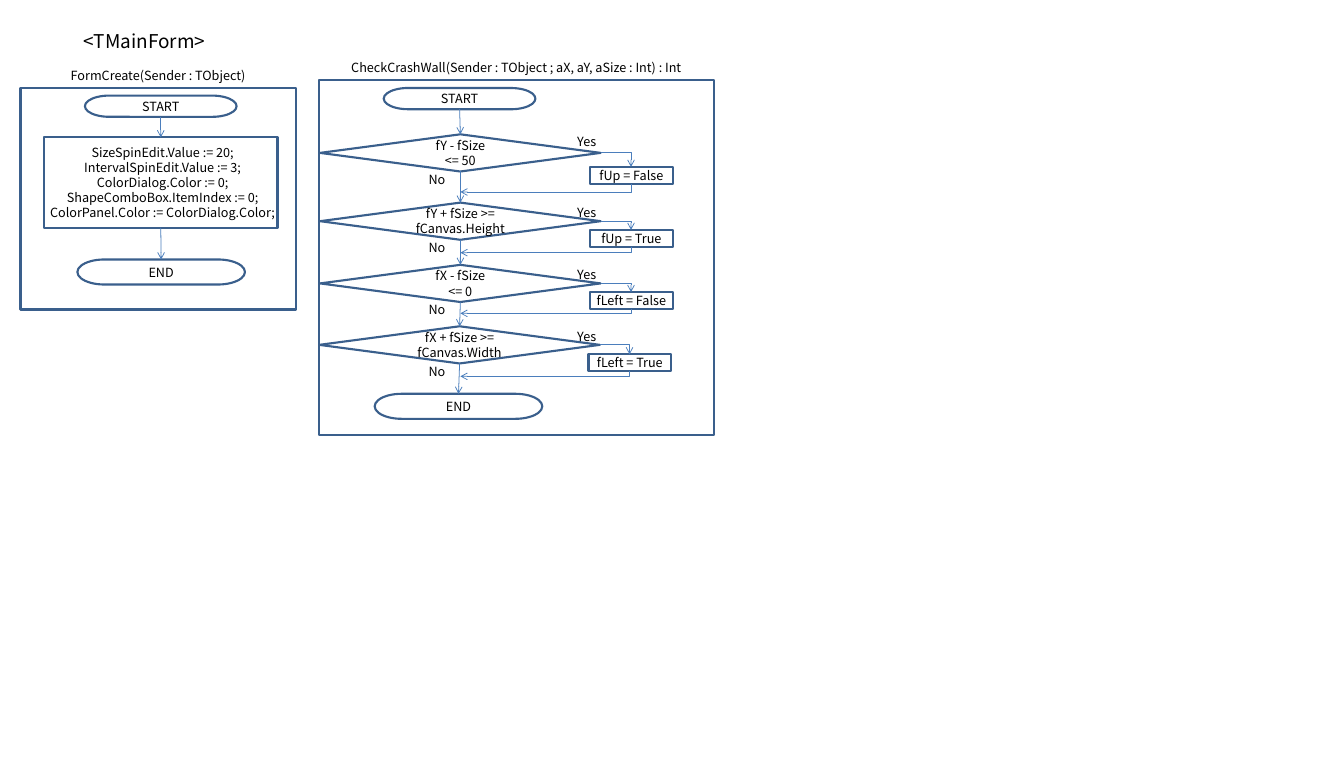
import pptx
import pptx.util
import pptx.dml.color
import pptx.oxml
import pptx.oxml.ns
import pptx.enum.shapes
import pptx.enum.text

PX = 9144  # 100 px to the inch
FONT = "Noto Sans CJK KR"
SHAPE = pptx.enum.shapes.MSO_SHAPE
LINK = pptx.enum.shapes.MSO_CONNECTOR
ALIGN = pptx.enum.text.PP_ALIGN
ANCHOR = pptx.enum.text.MSO_ANCHOR
NS = pptx.oxml.ns.nsdecls("a")
TOP, BOTTOM = 0, 2

deck = pptx.Presentation()
deck.slide_width, deck.slide_height = 1772 * PX, 1024 * PX
page = deck.slides.add_slide(deck.slide_layouts[5])


def add_box(parent, kind, left, top, width, height, lines=(), insets=(0, 0, 0, 0), label=False):
    """Outlined shape, or a plain label, with 12 pt text."""
    place = [value * PX for value in (left, top, width, height)]
    if label:
        box = parent.add_textbox(*place)
    else:
        box = parent.add_shape(kind, *place)
        box.shadow.inherit = False
        box.fill.background()
        box.line.color.rgb = pptx.dml.color.RGBColor.from_string("3A5F8C")
        box.line.width = pptx.util.Pt(2)
    frame = box.text_frame
    frame.word_wrap = True
    frame.vertical_anchor = ANCHOR.MIDDLE
    frame.margin_left, frame.margin_top, frame.margin_right, frame.margin_bottom = [
        inset * PX for inset in insets]
    for number, line in enumerate(lines):
        para = frame.add_paragraph() if number else frame.paragraphs[0]
        para.alignment = ALIGN.CENTER
        span = para.add_run()
        span.text = line
        span.font.name = FONT
        span.font.size = pptx.util.Pt(12)
        span.font.color.rgb = pptx.dml.color.RGBColor.from_string("000000")
    return box


def add_arrow(kind, x1, y1, x2, y2):
    """Thin arrow; an elbow runs across first, then down."""
    arrow = page.shapes.add_connector(kind, *[round(value * PX) for value in (x1, y1, x2, y2)])
    arrow.line.color.rgb = pptx.dml.color.RGBColor.from_string("4B7EBC")
    arrow.line.width = pptx.util.Pt(0.75)
    arrow.line._get_or_add_ln().append(pptx.oxml.parse_xml(f'<a:tailEnd {NS} type="arrow"/>'))
    properties = arrow._element.spPr
    properties.append(pptx.oxml.parse_xml(f"<a:effectLst {NS}/>"))
    if kind == LINK.ELBOW:
        properties.find(pptx.oxml.ns.qn("a:prstGeom")).set("prst", "bentConnector2")
    return arrow


# Title
title = page.shapes.title
title.left, title.top, title.width, title.height = 100 * PX, 34 * PX, 185 * PX, 40 * PX
title.text_frame.word_wrap = False
title.text_frame.auto_size = pptx.enum.text.MSO_AUTO_SIZE.NONE
title.text_frame.vertical_anchor = ANCHOR.TOP
para = title.text_frame.paragraphs[0]
para.alignment = ALIGN.LEFT
span = para.add_run()
span.text = "<TMainForm>"
span.font.name = FONT
span.font.size = pptx.util.Pt(18)
span.font.color.rgb = pptx.dml.color.RGBColor.from_string("000000")

# Frame and signature of each routine
for signature, left, top, width, height in [
    ("CheckCrashWall(Sender : TObject ; aX, aY, aSize : Int) : Int", 421, 106, 520, 467),
    ("FormCreate(Sender : TObject)", 27, 116, 363, 292),
]:
    routine = page.shapes.add_group_shape().shapes
    add_box(routine, SHAPE.RECTANGLE, left, top, width, height)
    add_box(routine, None, left, top - 31, width, 29, [signature], label=True)

# FormCreate steps
form_steps = [
    add_box(page.shapes, SHAPE.FLOWCHART_TERMINATOR, 112, 126, 200, 28, ["START"]),
    add_box(page.shapes, SHAPE.RECTANGLE, 58, 181, 308, 119, [
        "SizeSpinEdit.Value := 20;",
        "IntervalSpinEdit.Value := 3;",
        "ColorDialog.Color := 0;",
        "ShapeComboBox.ItemIndex := 0;",
        "ColorPanel.Color := ColorDialog.Color;",
    ], insets=(5, 0, 0, 0)),
    add_box(page.shapes, SHAPE.FLOWCHART_TERMINATOR, 102, 342, 221, 33, ["END"]),
]

# CheckCrashWall decisions: text, left, top, Yes label top, action, action left, action top, merge y
decisions = [
    (["fY - fSize", "<= 50"], 422, 177, 177, "fUp = False", 778, 220, 253),
    (["fY + fSize >=", "fCanvas.Height"], 422, 267, 270, "fUp = True", 778, 303, 333),
    (["fX - fSize", "<= 0"], 422, 349, 352, "fLeft = False", 778, 385, 413),
    (["fX + fSize >= fCanvas.Width"], 421, 430, 434, "fLeft = True", 776, 467, 496),
]
MERGE_X = 607
crash_steps = [add_box(page.shapes, SHAPE.FLOWCHART_TERMINATOR, 506, 116, 200, 28, ["START"])]
for test, left, top, yes_top, action, action_left, action_top, merge_y in decisions:
    crash_steps.append(add_box(page.shapes, SHAPE.FLOWCHART_DECISION, left, top, 370, 49,
                               test, insets=(0, 1, 0, 1)))
    add_box(page.shapes, SHAPE.RECTANGLE, action_left, action_top, 109, 22, [action])

    # Yes branch into the action
    action_x = action_left + 54
    add_arrow(LINK.ELBOW, left + 370, top + 24.5, action_x, action_top)

    # Way back to the main line: an elbow turned a quarter
    action_end = action_top + 22
    run, drop = action_x - MERGE_X, merge_y - action_end
    mid_x, mid_y = (action_x + MERGE_X) / 2, (action_end + merge_y) / 2
    back = add_arrow(LINK.ELBOW, mid_x - drop / 2, mid_y - run / 2, mid_x + drop / 2, mid_y + run / 2)
    back._element.spPr.find(pptx.oxml.ns.qn("a:xfrm")).set("rot", "5400000")

    # Branch labels
    for answer, label_left, label_top, label_width in [
        ("Yes", 761, yes_top, 29), ("No", 565, top + 49, 40),
    ]:
        label = add_box(page.shapes, None, label_left, label_top, label_width, 20, [answer], label=True)
        label.text_frame.vertical_anchor = ANCHOR.TOP
        label.text_frame.paragraphs[0].alignment = ALIGN.LEFT
crash_steps.append(add_box(page.shapes, SHAPE.FLOWCHART_TERMINATOR, 494, 519, 221, 33, ["END"]))

# Main line of both routines
for steps in (form_steps, crash_steps):
    for upper, lower in zip(steps, steps[1:]):
        arrow = add_arrow(LINK.STRAIGHT, 0, 0, 0, 0)
        arrow.begin_connect(upper, BOTTOM)
        arrow.end_connect(lower, TOP)

deck.save("out.pptx")
